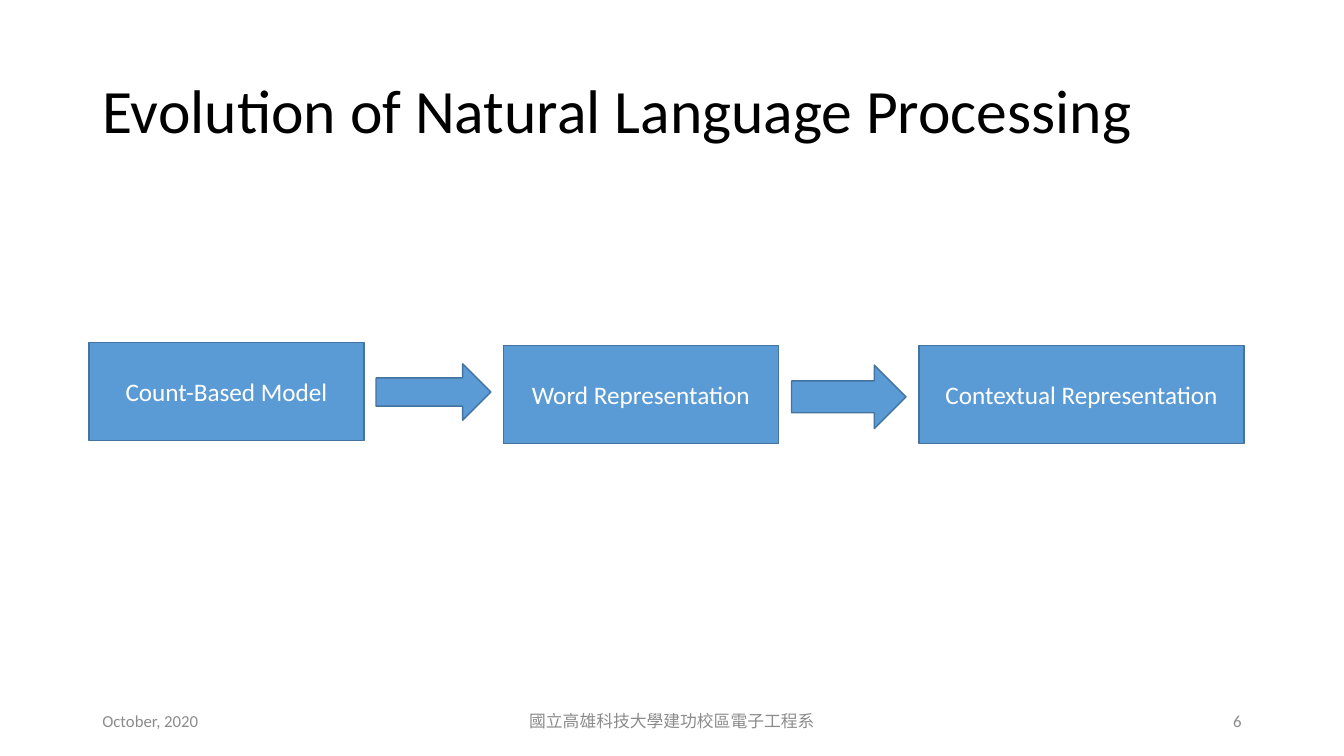
from dataclasses import dataclass

from pptx import Presentation
from pptx.dml.color import RGBColor as RGB
from pptx.enum.shapes import MSO_SHAPE as SHAPE
from pptx.enum.text import MSO_ANCHOR as ANCHOR, PP_ALIGN as ALIGN
from pptx.util import Pt


@dataclass(frozen=True)
class Theme:
    font: str = "Calibri"
    ink: RGB = RGB(0, 0, 0)
    muted: RGB = RGB(0x8C, 0x8C, 0x8C)
    white: RGB = RGB(0xFF, 0xFF, 0xFF)
    fill: RGB = RGB(0x5B, 0x9B, 0xD5)
    line: RGB = RGB(0x43, 0x73, 0x9E)
    title_size: int = 44
    body_size: int = 18
    footer_size: int = 12


def write(tf, text, *, font, size, color, align=ALIGN.LEFT, spacing=None):
    tf.word_wrap = True
    tf.vertical_anchor = ANCHOR.MIDDLE
    p = tf.paragraphs[0]
    p.alignment = align
    if spacing:
        p.line_spacing = spacing
    r = p.add_run()
    r.text = text
    r.font.name = font
    r.font.size = Pt(size)
    r.font.color.rgb = color


class Deck:
    """Draw themed elements on the current slide, measured in points."""

    def __init__(self, prs, theme):
        self.theme = theme
        self.s = prs.slides.add_slide(prs.slide_layouts[6])

    def text(self, text, x, y, w, h, **fmt):
        sp = self.s.shapes.add_textbox(Pt(x), Pt(y), Pt(w), Pt(h))
        write(sp.text_frame, text, font=self.theme.font, **fmt)

    def shape(self, kind, x, y, w, h):
        sp = self.s.shapes.add_shape(kind, Pt(x), Pt(y), Pt(w), Pt(h))
        sp.shadow.inherit = False
        sp.fill.solid()
        sp.fill.fore_color.rgb = self.theme.fill
        sp.line.color.rgb = self.theme.line
        sp.line.width = Pt(1)
        return sp

    def box(self, text, x, y, w, h=69.8):
        sp = self.shape(SHAPE.RECTANGLE, x, y, w, h)
        write(sp.text_frame, text, font=self.theme.font,
              size=self.theme.body_size, color=self.theme.white,
              align=ALIGN.CENTER)

    def arrow(self, x, y, w, h):
        self.shape(SHAPE.RIGHT_ARROW, x, y, w, h)


def main():
    prs = Presentation()
    prs.slide_width, prs.slide_height = Pt(960), Pt(540)
    theme = Theme()
    deck = Deck(prs, theme)

    deck.text("Evolution of Natural Language Processing", 66, 28.8, 828, 104.4,
              size=theme.title_size, color=theme.ink, spacing=0.9)

    footers = [
        ("October, 2020", 66, 216, ALIGN.LEFT),
        ("國立高雄科技大學建功校區電子工程系", 318, 324, ALIGN.CENTER),
        ("6", 678, 216, ALIGN.RIGHT),
    ]
    for text, x, w, align in footers:
        deck.text(text, x, 500.5, w, 28.8, size=theme.footer_size,
                  color=theme.muted, align=align)

    deck.box("Count-Based Model", 63.5, 244.8, 196.6)
    deck.arrow(268.6, 259.9, 82, 40.3)
    deck.box("Word Representation", 359.5, 247, 196.6)
    deck.arrow(565.4, 260.8, 81.8, 45.4)
    deck.box("Contextual Representation", 656.6, 247, 232)

    prs.save("out.pptx")


if __name__ == "__main__":
    main()
